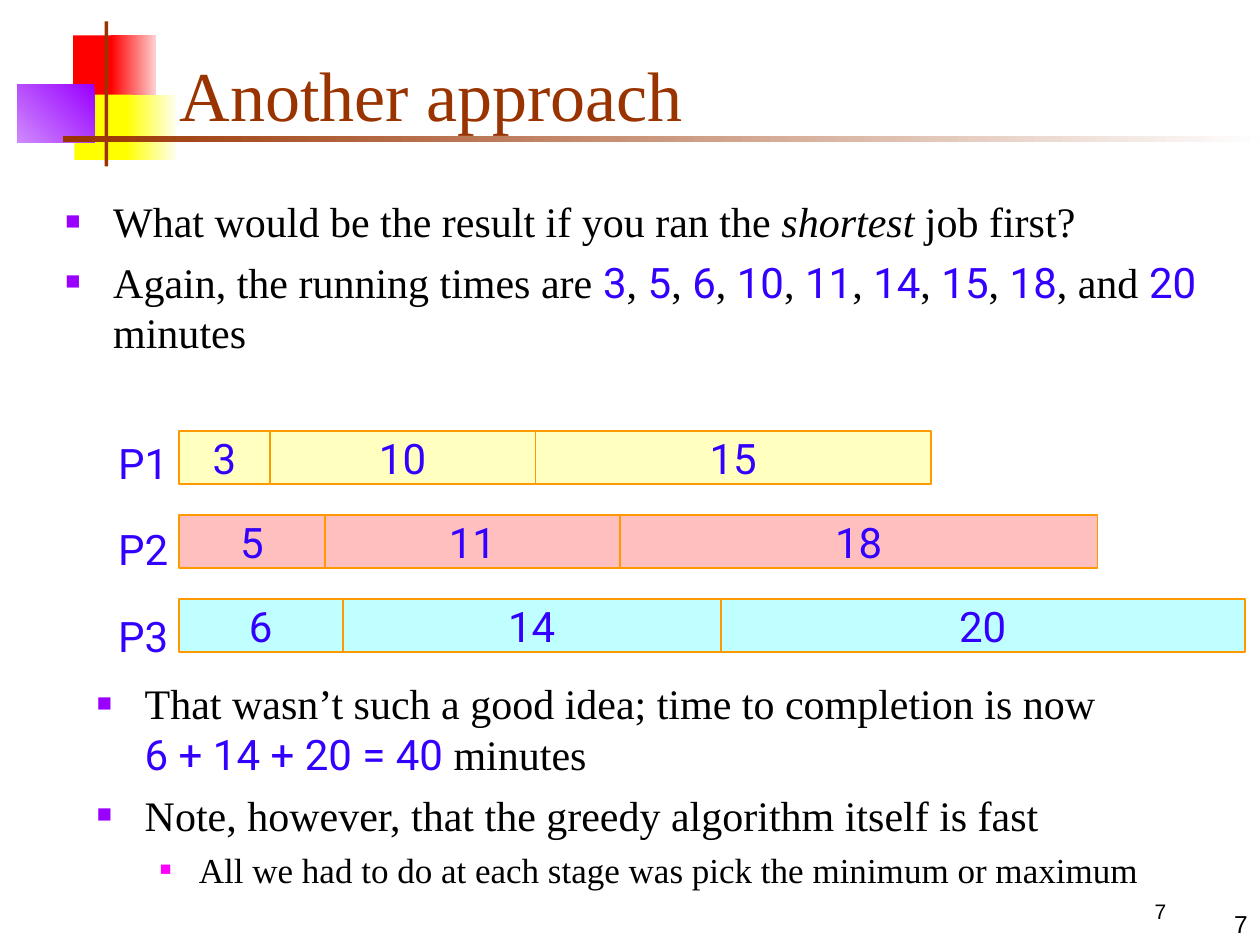
"""Build the "Another approach" slide with three processor schedules."""
import dataclasses

import pptx
import pptx.dml.color
import pptx.enum.shapes
import pptx.enum.text
import pptx.oxml
import pptx.oxml.ns
import pptx.util

Inches = pptx.util.Inches
Pt = pptx.util.Pt
RGB = pptx.dml.color.RGBColor.from_string
ALIGN = pptx.enum.text.PP_ALIGN
ANCHOR = pptx.enum.text.MSO_ANCHOR
RECT = pptx.enum.shapes.MSO_SHAPE.RECTANGLE


@dataclasses.dataclass(frozen=True)
class Theme:
    serif: str = "Times New Roman"
    number: str = "Roboto"
    footer: str = "Arial"
    brown: str = "993300"
    black: str = "000000"
    blue: str = "3300FF"
    red: str = "FF0000"
    yellow: str = "FFFF00"
    purple: str = "9900FF"
    magenta: str = "FF00FF"
    pale_red: str = "FED0D0"
    pale_yellow: str = "FEFEEF"
    pale_purple: str = "CF8AFE"
    near_white: str = "FEFEFE"
    bar_line: str = "FF9900"
    bars: tuple = ("FFFFBF", "FFBFBF", "BFFFFF")
    title_size: int = 40
    body_size: int = 24
    sub_size: int = 20
    page_size: int = 14
    small_size: int = 12


T = Theme()


def add_run(p, text, size=T.body_size, font=T.serif, color=T.black):
    r = p.add_run()
    r.text = text
    r.font.size = Pt(size)
    r.font.name = font
    r.font.color.rgb = RGB(color)
    return r


def add_box(left, top, width, height, anchor=ANCHOR.TOP):
    tf = s.shapes.add_textbox(Inches(left), Inches(top), Inches(width), Inches(height)).text_frame
    tf.word_wrap = True
    tf.vertical_anchor = anchor
    return tf


prs = pptx.Presentation()
prs.slide_width, prs.slide_height = Inches(10), Inches(7.5)
s = prs.slides.add_slide(prs.slide_layouts[6])

decorations = [
    (0.58, 0.28, 0.35, 0.52, [T.red], 0),
    (0.88, 0.28, 0.36, 0.52, [T.pale_red, T.red], 180),
    (0.59, 0.75, 0.46, 0.52, [T.yellow], 0),
    (1, 0.75, 0.4, 0.52, [T.pale_yellow, T.yellow], 180),
    (0.14, 0.67, 0.61, 0.46, [T.purple, T.pale_purple], 225),
    (0.83, 0.17, 0.03, 1.15, [T.brown], 0),
    (0.5, 1.08, 9.5, 0.05, [T.near_white, T.brown], 180),
]
for left, top, width, height, colors, angle in decorations:
    sp = s.shapes.add_shape(RECT, Inches(left), Inches(top), Inches(width), Inches(height))
    sp.shadow.inherit = False
    sp.line.fill.background()
    if len(colors) == 1:
        sp.fill.solid()
        sp.fill.fore_color.rgb = RGB(colors[0])
    else:
        sp.fill.gradient()
        sp.fill.gradient_angle = angle
        for stop, color in zip(sp.fill.gradient_stops, colors):
            stop.color.rgb = RGB(color)

p = add_box(8.67, 7.08, 1.08, 0.33).paragraphs[0]
p.alignment = ALIGN.CENTER
p.space_before = Pt(7.5)
add_run(p, "7", T.small_size, T.footer)

p = add_box(1.33, 0.33, 8.52, 0.83, ANCHOR.MIDDLE).paragraphs[0]
add_run(p, "Another approach", T.title_size, color=T.brown)

times = ["3", "5", "6", "10", "11", "14", "15", "18"]
time_runs = [run for time in times for run in ((time, "number"), (", ", ""))][:-1]
bodies = [
    ((0.42, 1.5, 9.38, 1.57), [
        (0, [("What would be the result if you ran the ", ""), ("shortest", "italic"), (" job first?", "")]),
        (0, [("Again, the running times are ", ""), *time_runs, (", and ", ""), ("20", "number"),
             (" minutes", "")]),
    ]),
    ((0.67, 5.33, 8.58, 2), [
        (0, [("That wasn’t such a good idea; time to completion is now", "break"),
             ("6 + 14 + 20 = 40", "number"), (" minutes", "")]),
        (0, [("Note, however, that the greedy algorithm itself is fast", "")]),
        (1, [("All we had to do at each stage was pick the minimum or maximum", "")]),
    ]),
]
levels = [
    (T.body_size, 6, 0.38, 0.38, T.purple, 60),
    (T.sub_size, 5, 0.81, 0.31, T.magenta, 55),
]
for box, paragraphs in bodies:
    tf = add_box(*box)
    for i, (level, runs) in enumerate(paragraphs):
        size, before, margin, hang, color, percent = levels[level]
        p = tf.paragraphs[0] if i == 0 else tf.add_paragraph()
        p.level = level
        p.space_before = Pt(before)
        pPr = p._p.get_or_add_pPr()
        pPr.set("marL", str(Inches(margin)))
        pPr.set("indent", str(-Inches(hang)))
        for xml in (f'<a:buClr %s><a:srgbClr val="{color}"/></a:buClr>',
                    f'<a:buSzPct %s val="{percent * 1000}"/>',
                    f'<a:buFont %s typeface="{T.footer}"/>',
                    '<a:buChar %s char="■"/>'):
            pPr.append(pptx.oxml.parse_xml(xml % pptx.oxml.ns.nsdecls("a")))
        for text, style in runs:
            if style == "number":
                add_run(p, text, size, T.number, T.blue)
            else:
                r = add_run(p, text, size)
                r.font.italic = style == "italic"
            if style == "break":
                p.add_line_break()

schedules = [
    ("P1", ["3", "10", "15"], [1.42, 2.14, 4.25, 7.39]),
    ("P2", ["5", "11", "18"], [1.42, 2.58, 4.92, 8.71]),
    ("P3", ["6", "14", "20"], [1.42, 2.72, 5.72, 9.88]),
]
labels = add_box(0.84, 3.34, 0.66, 1.95)
for i, (name, jobs, edges) in enumerate(schedules):
    p = labels.paragraphs[0] if i == 0 else labels.add_paragraph()
    p.line_spacing = 1.2
    p.space_before = Pt(15)
    add_run(p, name, font=T.number, color=T.blue)
    for job, left, right in zip(jobs, edges, edges[1:]):
        sp = s.shapes.add_shape(RECT, Inches(left), Inches(3.42 + i * 2 / 3), Inches(right - left), Inches(0.42))
        sp.shadow.inherit = False
        sp.fill.solid()
        sp.fill.fore_color.rgb = RGB(T.bars[i])
        sp.line.color.rgb = RGB(T.bar_line)
        sp.line.width = Pt(1)
        tf = sp.text_frame
        tf.word_wrap = False
        tf.vertical_anchor = ANCHOR.MIDDLE
        p = tf.paragraphs[0]
        p.alignment = ALIGN.CENTER
        add_run(p, job, font=T.number, color=T.blue)

p = add_box(7.92, 7, 2.08, 0.5, ANCHOR.BOTTOM).paragraphs[0]
p.alignment = ALIGN.RIGHT
add_run(p, "7", T.page_size, T.footer)

prs.save("out.pptx")
